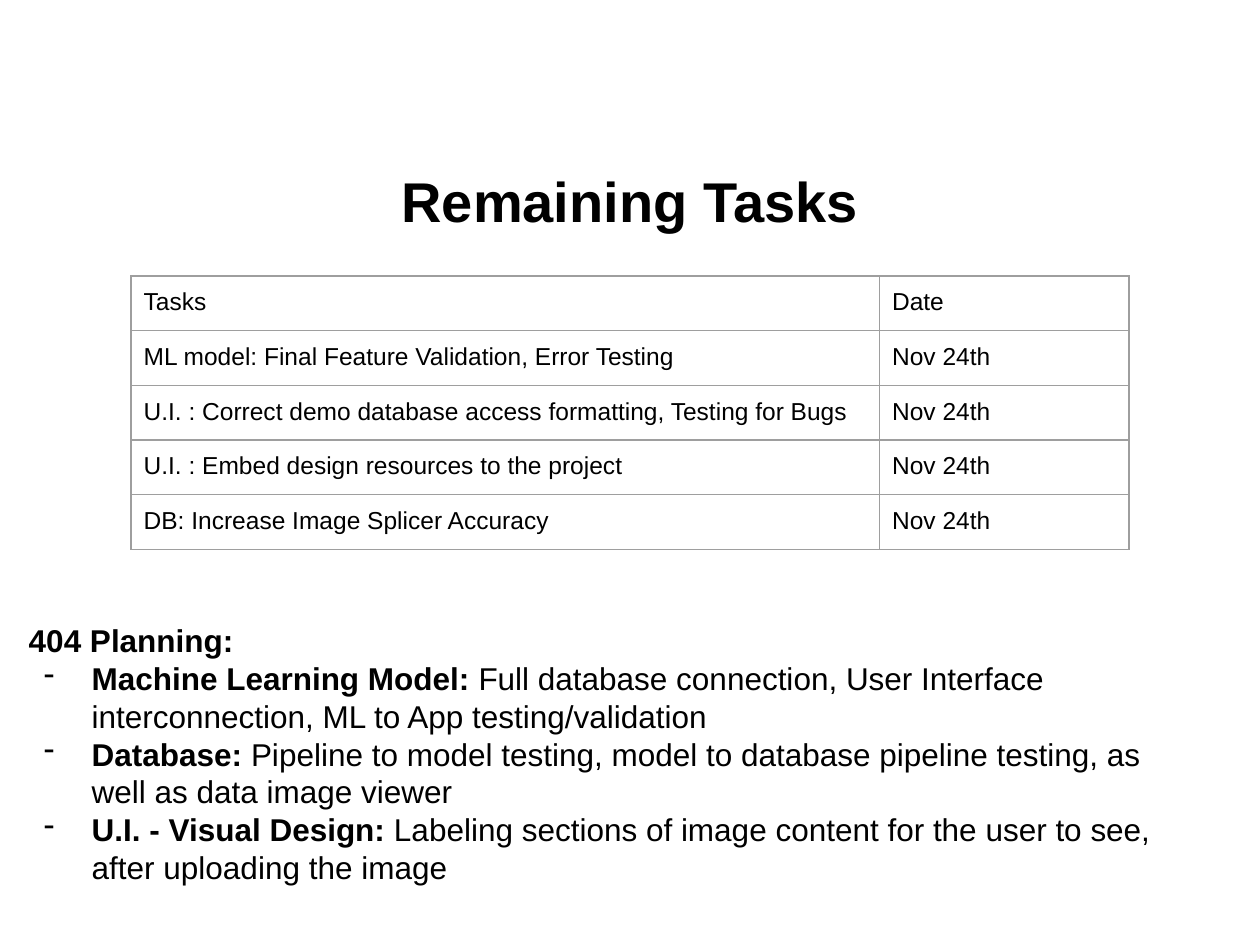
from lxml.etree import SubElement
from pptx import Presentation
from pptx.dml.color import RGBColor
from pptx.enum.text import MSO_ANCHOR, PP_ALIGN
from pptx.oxml import parse_xml
from pptx.oxml.ns import nsdecls, qn
from pptx.util import Inches, Pt

FONT = "Arial"
BLACK = "000000"
BORDER = "9E9E9E"
TASKS = [
    ("Tasks", "Date"),
    ("ML model: Final Feature Validation, Error Testing", "Nov 24th"),
    ("U.I. : Correct demo database access formatting, Testing for Bugs", "Nov 24th"),
    ("U.I. : Embed design resources to the project", "Nov 24th"),
    ("DB: Increase Image Splicer Accuracy", "Nov 24th"),
]
PLANS = [
    ("Machine Learning Model: ", "Full database connection, User Interface "
     "interconnection, ML to App testing/validation"),
    ("Database:", " Pipeline to model testing, model to database pipeline testing, "
     "as well as data image viewer"),
    ("U.I. - Visual Design: ", "Labeling sections of image content for the user to see, "
     "after uploading the image"),
]


def color(value):
    return RGBColor.from_string(value)


def format_run(run, size, bold=False):
    run.font.name = FONT
    run.font.size = Pt(size)
    run.font.bold = bold
    run.font.color.rgb = color(BLACK)


def add_text_frame(slide, left, top, width, height, vertical_margin):
    box = slide.shapes.add_textbox(Inches(left), Inches(top), Inches(width), Inches(height))
    frame = box.text_frame
    frame.word_wrap = True
    frame.margin_left = frame.margin_right = Inches(0.1)
    frame.margin_top = frame.margin_bottom = Inches(vertical_margin)
    return frame


def add_title(slide):
    frame = add_text_frame(slide, 0.5, 1.15, 9, 0.88, 0.05)
    frame.vertical_anchor = MSO_ANCHOR.MIDDLE
    frame.text = "Remaining Tasks"
    paragraph = frame.paragraphs[0]
    paragraph.alignment = PP_ALIGN.CENTER
    format_run(paragraph.runs[0], 32, bold=True)


def set_borders(cell):
    properties = cell._tc.get_or_add_tcPr()
    for index, side in enumerate(("lnL", "lnR", "lnT", "lnB")):
        properties.insert(index, parse_xml(
            f'<a:{side} {nsdecls("a")} w="{Pt(0.75)}"><a:solidFill>'
            f'<a:srgbClr val="{BORDER}"/></a:solidFill></a:{side}>'))


def add_task_table(slide):
    widths, row_height = (5.94, 1.98), 0.42
    table = slide.shapes.add_table(
        len(TASKS), len(widths), Inches(1.04), Inches(2.19),
        Inches(sum(widths)), Inches(row_height * len(TASKS))).table
    table.first_row = table.horz_banding = False
    for column, width in zip(table.columns, widths):
        column.width = Inches(width)
    for row, texts in zip(table.rows, TASKS):
        row.height = Inches(row_height)
        for cell, text in zip(row.cells, texts):
            cell.text = text
            cell.margin_left = cell.margin_right = Inches(0.1)
            cell.margin_top = cell.margin_bottom = Inches(0.1)
            cell.fill.background()
            set_borders(cell)
            format_run(cell.text_frame.paragraphs[0].runs[0], 14)


def add_dash(paragraph):
    """Give the paragraph a hanging indent and a dash bullet."""
    properties = paragraph._p.get_or_add_pPr()
    properties.set("marL", str(Inches(0.5)))
    properties.set("indent", str(Inches(-0.38)))
    bullet_color = SubElement(properties, qn("a:buClr"))
    SubElement(bullet_color, qn("a:srgbClr"), val=BLACK)
    SubElement(properties, qn("a:buChar"), char="-")


def add_planning(slide):
    frame = add_text_frame(slide, 0.13, 4.83, 9.37, 2.32, 0.1)
    frame.text = "404 Planning:"
    format_run(frame.paragraphs[0].runs[0], 18, bold=True)
    for heading, details in PLANS:
        paragraph = frame.add_paragraph()
        add_dash(paragraph)
        for text, bold in ((heading, True), (details, False)):
            run = paragraph.add_run()
            run.text = text
            format_run(run, 18, bold)
    for paragraph in frame.paragraphs:
        paragraph.line_spacing = Pt(21.6)


def main():
    presentation = Presentation()
    presentation.slide_width = Inches(10)
    presentation.slide_height = Inches(7.5)
    slide = presentation.slides.add_slide(presentation.slide_layouts[6])
    add_title(slide)
    add_task_table(slide)
    add_planning(slide)
    presentation.save("out.pptx")


if __name__ == "__main__":
    main()
